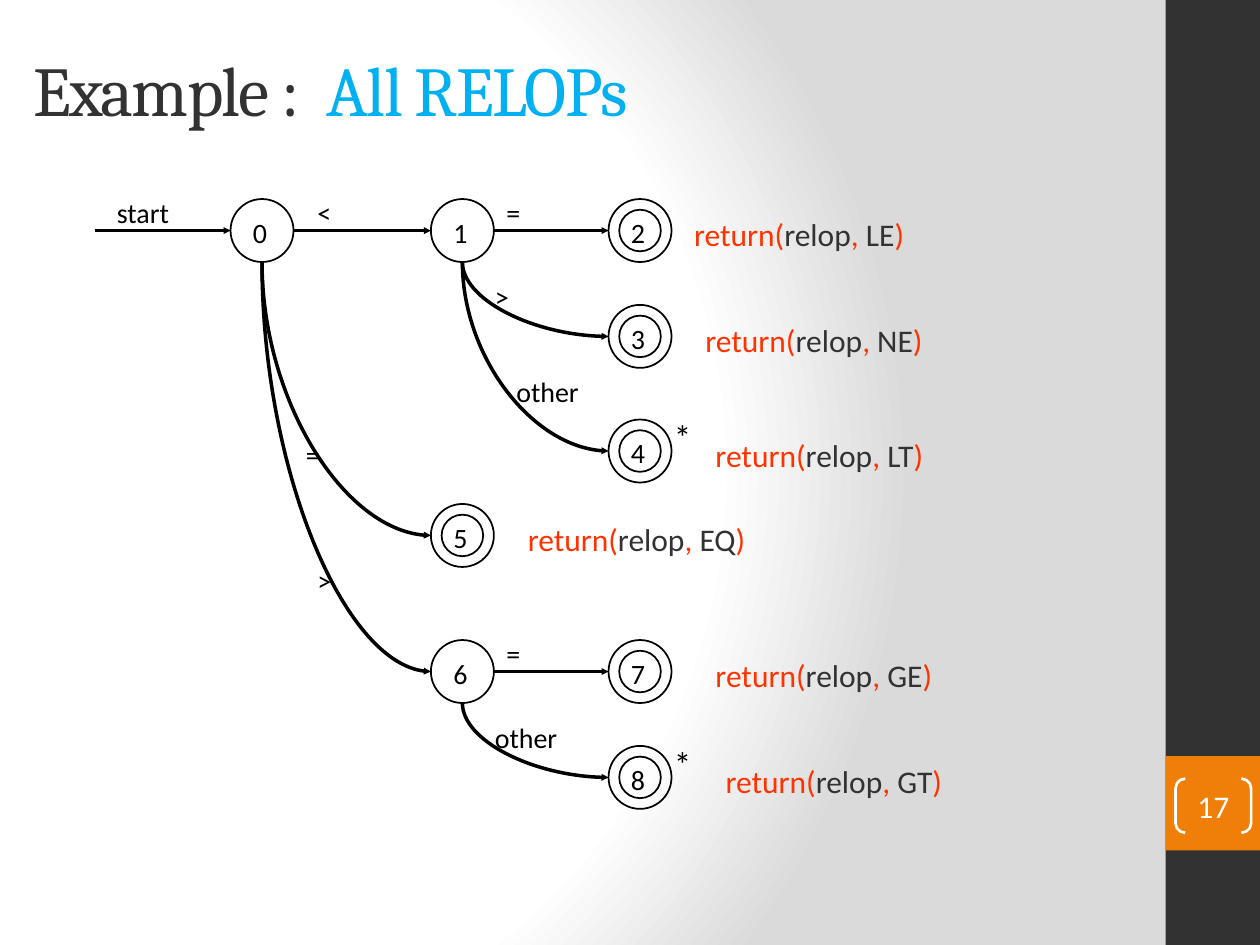
from lxml import etree
from pptx import Presentation
from pptx.dml.color import RGBColor
from pptx.enum.shapes import MSO_CONNECTOR, MSO_SHAPE
from pptx.enum.text import MSO_ANCHOR, PP_ALIGN
from pptx.oxml import parse_xml
from pptx.oxml.ns import nsdecls, qn
from pptx.util import Inches, Pt

STRAIGHT, CURVE = MSO_CONNECTOR.STRAIGHT, MSO_CONNECTOR.CURVE
RECT, OVAL, BRACKETS = MSO_SHAPE.RECTANGLE, MSO_SHAPE.OVAL, MSO_SHAPE.DOUBLE_BRACKET
MIDDLE, CENTER = MSO_ANCHOR.MIDDLE, PP_ALIGN.CENTER

COLORS = {
    "ink": "000000", "dark": "323232", "orange": "F07F09", "white": "FFFFFF",
    "shade": "DADADA", "cyan": "00B0F0", "red": "FF3300",
}
RADIUS, INNER_RADIUS = 0.25, 0.165
COLUMNS = [1.33, 2.92, 4.33]
ROWS = [0.33, 1.17, 2.08, 2.75, 3.83, 4.67]

# state: column, row
STATES = {
    0: (0, 0), 1: (1, 0), 2: (2, 0), 3: (2, 1), 4: (2, 2),
    5: (1, 3), 6: (1, 4), 7: (2, 4), 8: (2, 5),
}
EDGES = [
    (0, 1, "<", 1.67, 0), (1, 2, "=", 3.17, 0), (1, 3, ">", 3.08, 0.67),
    (1, 4, "other", 3.25, 1.42), (0, 5, "=", 1.58, 1.92), (0, 6, ">", 1.67, 2.92),
    (6, 7, "=", 3.17, 3.5), (6, 8, "other", 3.08, 4.17),
]
RETURNS = {
    2: ("LE", 0.33), 3: ("NE", 0.42), 4: ("LT", 0.5),
    5: ("EQ", 0.42), 7: ("GE", 0.5), 8: ("GT", 0.58),
}
RETRACTING = (4, 8)


def rgb(name):
    """Return the named colour."""
    return RGBColor.from_string(COLORS[name])


def add_runs(paragraph, runs, size, font="Calibri"):
    """Append (text, colour) runs and return them."""
    added = []
    for text, color in runs:
        run = paragraph.add_run()
        run.text = text
        run.font.size, run.font.name = Pt(size), font
        run.font.color.rgb = rgb(color)
        added.append(run)
    return added


def add_text(slide, x, y, width, height, runs, size, font="Calibri"):
    """Add a wrapping text box and return its frame and runs."""
    frame = slide.shapes.add_textbox(
        Inches(x), Inches(y), Inches(width), Inches(height)).text_frame
    frame.word_wrap = True
    return frame, add_runs(frame.paragraphs[0], runs, size, font)


def add_figure(slide, kind, x, y, width, height, fill=None, line=None, weight=1):
    """Add a shadowless preset shape."""
    figure = slide.shapes.add_shape(
        kind, Inches(x), Inches(y), Inches(width), Inches(height))
    figure.shadow.inherit = False
    if fill:
        figure.fill.solid()
        figure.fill.fore_color.rgb = rgb(fill)
    else:
        figure.fill.background()
    if line:
        figure.line.color.rgb = rgb(line)
        figure.line.width = Pt(weight)
    else:
        figure.line.fill.background()
    return figure


def add_arrow(slide, x1, y1, x2, y2):
    """Add a straight arrow, or one that bends from down to rightward."""
    if y1 == y2:
        arrow = slide.shapes.add_connector(
            STRAIGHT, Inches(x1), Inches(y1), Inches(x2), Inches(y2))
    else:
        mid_x, mid_y = (x1 + x2) / 2, (y1 + y2) / 2
        half_w, half_h = (y2 - y1) / 2, (x2 - x1) / 2
        arrow = slide.shapes.add_connector(
            CURVE, Inches(mid_x + half_w), Inches(mid_y - half_h),
            Inches(mid_x - half_w), Inches(mid_y + half_h))
        properties = arrow._element.spPr
        properties.find(qn("a:xfrm")).set("rot", "16200000")
        properties.find(qn("a:prstGeom")).set("prst", "curvedConnector2")
    arrow.line.color.rgb = rgb("ink")
    arrow.line.width = Pt(2)
    etree.SubElement(arrow.line._get_or_add_ln(), qn("a:tailEnd"),
                     type="triangle", w="sm", len="sm")
    etree.SubElement(arrow._element.spPr, qn("a:effectLst"))


def add_background(slide):
    """Fill the slide with a circular gradient."""
    stops = "".join(
        f'<a:gs pos="{position}000"><a:srgbClr val="{COLORS[color]}"/></a:gs>'
        for position, color in ((0, "white"), (75, "white"), (100, "shade")))
    slide._element.cSld.insert(0, parse_xml(
        f'<p:bg {nsdecls("p", "a")}><p:bgPr><a:gradFill rotWithShape="1">'
        f'<a:gsLst>{stops}</a:gsLst><a:path path="circle">'
        '<a:fillToRect l="20000" t="50000" r="100000" b="50000"/></a:path>'
        '</a:gradFill><a:effectLst/></p:bgPr></p:bg>'))


def add_sidebar(slide, x, y, width, height):
    """Place the side band with its page number."""
    add_figure(slide, RECT, x, y, width, height, fill="dark")
    add_figure(slide, RECT, x, y + 6, width, width, fill="orange")
    page = add_figure(slide, BRACKETS, x + 0.08, y + 6.18, 0.6, 0.43,
                      line="white", weight=1.5)
    page.adjustments[0] = 0.18
    frame = page.text_frame
    frame.margin_left = frame.margin_right = frame.margin_top = frame.margin_bottom = 0
    frame.vertical_anchor = MIDDLE
    frame.paragraphs[0].alignment = CENTER
    add_runs(frame.paragraphs[0], [("17", "white")], 18)


def add_title(slide, x, y, width, height):
    """Place the two-colour heading."""
    frame, runs = add_text(
        slide, x, y, width, height,
        [("Example :  ", "dark"), ("All RELOPs", "cyan")], 40, "Cambria")
    frame.vertical_anchor = MIDDLE
    for run in runs:
        run.font._element.set("spc", "-100")


def add_state(slide, state, x, y):
    """Place a state centred on a point, with its return action if accepting."""
    rings = (RADIUS, INNER_RADIUS) if state in RETURNS else (RADIUS,)
    for radius in rings:
        add_figure(slide, OVAL, x - radius, y - radius, 2 * radius, 2 * radius, line="ink")
    add_text(slide, x - 0.17, y - 0.17, 0.33, 0.37, [(str(state), "ink")], 16)
    if state in RETRACTING:
        add_text(slide, x + 0.17, y - 0.33, 0.33, 0.43, [("*", "ink")], 20)
    if state in RETURNS:
        token, gap = RETURNS[state]
        add_text(slide, x + gap, y - 0.17, 2.92, 0.4,
                 [("return(", "red"), ("relop", "dark"), (", ", "red"),
                  (token, "dark"), (")", "red")], 18)


def add_diagram(slide, x, y):
    """Place the transition diagram from its top left corner."""
    centers = {state: (x + COLUMNS[column], y + ROWS[row])
               for state, (column, row) in STATES.items()}
    start_x, start_y = centers[0]
    add_arrow(slide, x, start_y, start_x - RADIUS, start_y)
    add_text(slide, x + 0.08, y, 0.83, 0.37, [("start", "ink")], 16)
    for source, target, symbol, label_x, label_y in EDGES:
        (x1, y1), (x2, y2) = centers[source], centers[target]
        if y1 == y2:
            add_arrow(slide, x1 + RADIUS, y1, x2 - RADIUS, y2)
        else:
            add_arrow(slide, x1, y1 + RADIUS, x2 - RADIUS, y2)
        add_text(slide, x + label_x, y + label_y, 0.83, 0.37, [(symbol, "ink")], 16)
    for state, center in centers.items():
        add_state(slide, state, *center)


def main():
    """Build and save the slide."""
    deck = Presentation()
    deck.slide_width, deck.slide_height = Inches(10), Inches(7.5)
    slide = deck.slides.add_slide(deck.slide_layouts[6])
    add_background(slide)
    add_sidebar(slide, 9.25, 0, 0.75, 7.5)
    add_title(slide, 0.17, 0.08, 8.33, 1.25)
    add_diagram(slide, 0.75, 1.5)
    deck.save("out.pptx")


if __name__ == "__main__":
    main()
